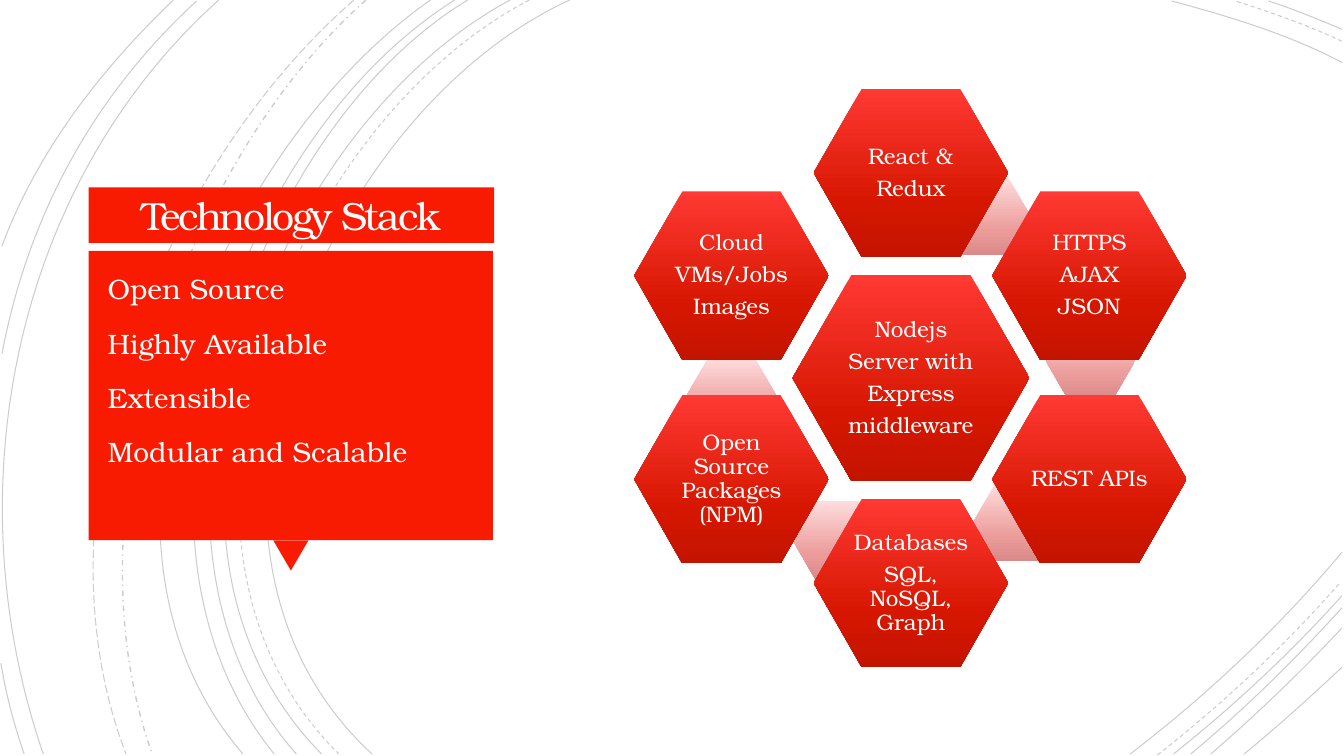
from copy import deepcopy

from pptx import Presentation
from pptx.dml.color import RGBColor
from pptx.enum.dml import MSO_LINE as DASH
from pptx.enum.shapes import MSO_SHAPE as SHAPE
from pptx.enum.text import MSO_ANCHOR as ANCHOR, MSO_AUTO_SIZE as AUTO_SIZE, PP_ALIGN as ALIGN
from pptx.oxml.ns import qn
from pptx.util import Inches, Pt

FONT = "TeX Gyre Bonum"
RED = RGBColor(0xF8, 0x1B, 0x02)
WHITE = RGBColor(0xFF, 0xFF, 0xFF)
TITLE_WHITE = RGBColor(0xFF, 0xFE, 0xFF)
BLACK = RGBColor(0x00, 0x00, 0x00)
STRONG_REDS = [RGBColor(0xFF, 0x39, 0x33), RGBColor(0xD5, 0x16, 0x00), RGBColor(0xC3, 0x14, 0x00)]
PALE_REDS = [RGBColor(0xFF, 0xDD, 0xDD), RGBColor(0xEB, 0x9B, 0x9A), RGBColor(0xDB, 0x8A, 0x8A)]

prs = Presentation()
prs.slide_width = Inches(13.33)
prs.slide_height = Inches(7.5)
slide = prs.slides.add_slide(prs.slide_layouts[5])
shapes = slide.shapes


def add_hexagon(left, top, width, height, adjust, colors):
    hexagon = shapes.add_shape(SHAPE.HEXAGON, Inches(left), Inches(top), Inches(width), Inches(height))
    hexagon.shadow.inherit = False
    hexagon.adjustments[0] = adjust
    hexagon.line.fill.background()
    hexagon.fill.gradient()
    hexagon.fill.gradient_angle = 270
    stop_list = hexagon._element.spPr.find(qn("a:gradFill")).find(qn("a:gsLst"))
    stop_list.append(deepcopy(stop_list[-1]))
    for stop, position, color in zip(hexagon.fill.gradient_stops, (0, 0.69, 1), colors):
        stop.position = position
        stop.color.rgb = color
    return hexagon


def write_lines(frame, lines, size, spacing, before, after, align):
    frame.word_wrap = True
    frame.text = "\n".join(lines)
    for paragraph in frame.paragraphs:
        paragraph.alignment = align
        paragraph.line_spacing = spacing
        paragraph.space_before = Pt(before)
        paragraph.space_after = Pt(after)
        paragraph.font.size = Pt(size)
        paragraph.font.name = FONT
        paragraph.font.color.rgb = WHITE


arcs = [
    ((5.65, 0), (3.15, 1.15), (1.43, 5.4), (3.69, 7.48), DASH.SOLID),
    ((13.31, 0.62), (12.78, 0.34), (12.18, 0.16), (11.62, 0.01), DASH.SOLID),
    ((11.21, 7.48), (11.97, 6.9), (12.69, 6.22), (13.31, 5.48), DASH.SOLID),
    ((5.25, 0), (2.85, 1.25), (1.23, 5.37), (3.36, 7.48), DASH.DASH),
    ((13.31, 0.41), (12.97, 0.25), (12.6, 0.12), (12.25, 0.01), DASH.DASH),
    ((11.48, 7.49), (12.13, 6.98), (12.75, 6.4), (13.3, 5.77), DASH.DASH),
    ((5.06, 0), (2.7, 1.27), (1.1, 5.37), (3.19, 7.48), DASH.SOLID),
    ((13.31, 0.29), (13.07, 0.19), (12.83, 0.09), (12.58, 0.01), DASH.SOLID),
    ((11.64, 7.48), (12.23, 7.01), (12.8, 6.48), (13.31, 5.91), DASH.SOLID),
    ((4.64, 0), (2.44, 1.33), (1.1, 5.41), (2.94, 7.48), DASH.SOLID),
    ((11.81, 7.48), (12.34, 7.04), (12.84, 6.55), (13.31, 6.03), DASH.SOLID),
    ((4.51, 0), (2.31, 1.38), (0.97, 5.33), (2.72, 7.48), DASH.SOLID),
    ((12.01, 7.48), (12.46, 7.09), (12.9, 6.67), (13.31, 6.23), DASH.SOLID),
    ((4.27, 0), (2.17, 1.47), (0.53, 5.29), (2.41, 7.48), DASH.SOLID),
    ((12.34, 7.48), (12.67, 7.21), (12.99, 6.92), (13.31, 6.62), DASH.SOLID),
    ((3.63, 0), (1.76, 1.66), (0.65, 5.09), (1.51, 7.48), DASH.DASH_DOT),
    ((3.51, 0), (1.57, 1.69), (0.29, 4.99), (1.25, 7.48), DASH.LONG_DASH),
    ((2.17, 0), (0.11, 1.85), (-0.46, 4.9), (0.43, 7.48), DASH.SOLID),
    ((1.95, 0.01), (0.92, 0.96), (0.28, 2.14), (0.02, 3.51), DASH.SOLID),
    ((0.01, 6.58), (0.06, 6.89), (0.14, 7.19), (0.24, 7.48), DASH.SOLID),
    ((1.72, 0), (1, 0.69), (0.37, 1.5), (0.02, 2.44), DASH.SOLID),
]
for *knots, dash in arcs:
    start, *bends = [(Inches(x), Inches(y)) for x, y in knots]
    builder = shapes.build_freeform(*start)
    builder.add_line_segments(bends, close=False)
    arc = builder.convert_to_shape()
    outline = next(arc._element.iter(qn("a:path")))
    curve = outline.makeelement(qn("a:cubicBezTo"), {})
    for segment in outline.findall(qn("a:lnTo")):
        curve.append(segment[0])
        outline.remove(segment)
    outline.append(curve)
    arc.shadow.inherit = False
    arc.fill.background()
    arc.line.color.rgb = BLACK
    arc.line.width = Pt(1 if dash == DASH.DASH_DOT else 0.75)
    arc.line.dash_style = dash
    color = arc.line._ln.find(qn("a:solidFill"))[0]
    color.append(color.makeelement(qn("a:alpha"), {"val": "20000"}))

for preset, left, top, width, height, rotation in [
    (SHAPE.RECTANGLE, 0.88, 1.86, 4.02, 0.55, 0),
    (SHAPE.ISOSCELES_TRIANGLE, 2.71, 5.36, 0.35, 0.3, 180),
    (SHAPE.RECTANGLE, 0.88, 2.49, 4.01, 2.87, 0),
]:
    panel = shapes.add_shape(preset, Inches(left), Inches(top), Inches(width), Inches(height))
    panel.rotation = rotation
    panel.shadow.inherit = False
    panel.fill.solid()
    panel.fill.fore_color.rgb = RED
    panel.line.fill.background()

title = shapes.title
title.left, title.top, title.width, title.height = Inches(0.97), Inches(1.91), Inches(3.83), Inches(0.51)
heading = title.text_frame
write_lines(heading, ["Technology Stack"], 28, 0.85, 0, 0, ALIGN.CENTER)
heading.auto_size = AUTO_SIZE.NONE
heading.vertical_anchor = ANCHOR.MIDDLE
heading.margin_left = heading.margin_right = heading.margin_top = heading.margin_bottom = Inches(0.25)
heading.paragraphs[0].font.color.rgb = TITLE_WHITE
heading.paragraphs[0].runs[0]._r.get_or_add_rPr().set("spc", "-150")
shapes._spTree.append(title._element)

HUB_SIZE = (2.35, 2.04)
NODE_SIZE = (1.93, 1.67)
LINK_SIZE = (0.89, 0.77)
LEFT, MIDDLE, RIGHT = 6.29, 8.07, 9.84
stack = [
    ((7.86, 2.73), HUB_SIZE, None, ["Nodejs", "Server with", "Express", "middleware"]),
    ((MIDDLE, 0.88), NODE_SIZE, (9.33, 1.76), ["React &", "Redux"]),
    ((RIGHT, 1.9), NODE_SIZE, (10.37, 3.19), ["HTTPS", "AJAX", "JSON"]),
    ((RIGHT, 3.92), NODE_SIZE, (9.65, 4.8), ["REST APIs"]),
    ((MIDDLE, 4.95), NODE_SIZE, (7.86, 4.97), ["Databases", "SQL, NoSQL, Graph"]),
    ((LEFT, 3.92), NODE_SIZE, (6.81, 3.54), ["Open Source Packages (NPM)"]),
    ((LEFT, 1.9), NODE_SIZE, None, ["Cloud", "VMs/Jobs", "Images"]),
]
for corner, size, link_corner, lines in stack:
    if link_corner:
        add_hexagon(*link_corner, *LINK_SIZE, 0.289, PALE_REDS)
    node = add_hexagon(*corner, *size, 0.286, STRONG_REDS)
    label = node.text_frame
    write_lines(label, lines, 16, 0.9, 0, 5.6, ALIGN.CENTER)
    label.vertical_anchor = ANCHOR.MIDDLE
    label.margin_left = label.margin_right = label.margin_top = label.margin_bottom = Inches(0.02)

qualities = shapes.add_textbox(Inches(0.97), Inches(2.58), Inches(3.83), Inches(2.67))
write_lines(
    qualities.text_frame,
    ["Open Source", "Highly Available", "Extensible", "Modular and Scalable"],
    20, 1.2, 10, 0, ALIGN.LEFT,
)

prs.save("out.pptx")
